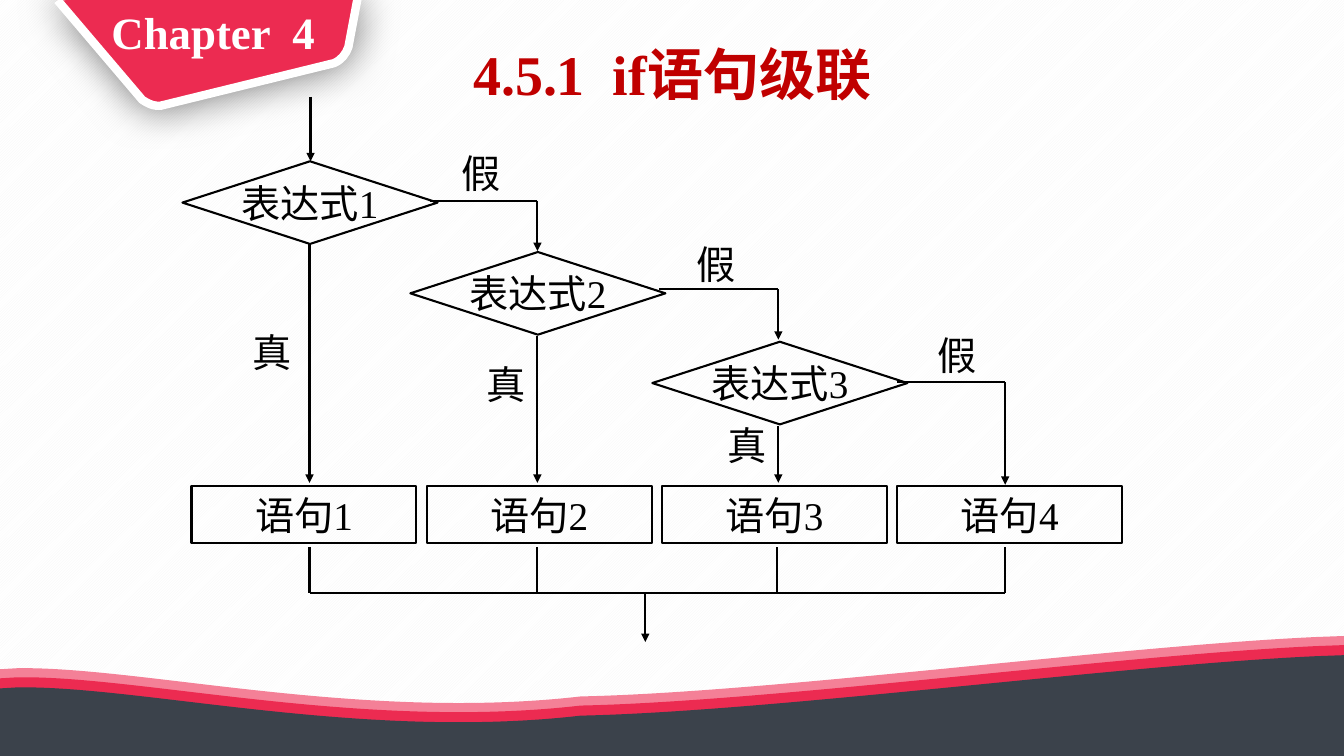
from dataclasses import dataclass

from lxml import etree
from pptx import Presentation
from pptx.dml.color import RGBColor
from pptx.dml.fill import FillFormat
from pptx.enum.dml import MSO_PATTERN
from pptx.enum.shapes import MSO_CONNECTOR, MSO_SHAPE
from pptx.enum.text import MSO_ANCHOR, PP_ALIGN
from pptx.oxml import parse_xml
from pptx.oxml.ns import nsdecls, qn
from pptx.shapes.autoshape import Shape
from pptx.shapes.shapetree import GroupShapes
from pptx.slide import Slide
from pptx.util import Inches, Pt

BLACK = RGBColor(0x00, 0x00, 0x00)
WHITE = RGBColor(0xFF, 0xFF, 0xFF)
STRIPE = RGBColor(0xF5, 0xF5, 0xF5)
PINK = RGBColor(0xF4, 0x80, 0x97)
CRIMSON = RGBColor(0xEC, 0x2B, 0x51)
SLATE = RGBColor(0x3B, 0x42, 0x4B)
DARK_RED = RGBColor(0xC0, 0x00, 0x00)

FONT = "Times New Roman"
LINE_WIDTH = Pt(1.5)

Point = tuple[float, float]
Segment = tuple[Point, ...]  # one point: straight line; three: Bézier curve


@dataclass
class Wave:
    top: float
    color: RGBColor


@dataclass
class Branch:
    """One test: its diamond, its exits and their labels."""
    left: float
    top: float
    true_start: Point
    true_label: Point
    false_label: Point
    false_start: Point
    false_axis: float
    false_end: float


WAVES = [Wave(6.31, PINK), Wave(6.4, CRIMSON), Wave(6.5, SLATE)]
WAVE_START = (13.33, 0)
WAVE_OUTLINE: list[Segment] = [
    ((13.33, 1),), ((0, 1),), ((0, 0.33),), ((0.17, 0.32),),
    ((1.39, 0.3), (3.58, 0.85), (5.76, 0.6)),
    ((7.65, 0.56), (11.08, 0.1), (13.06, 0.01)),
]
BADGE_START = (3.57, 0.34)
BADGE_OUTLINE: list[Segment] = [
    ((3.37, 0.78),), ((3.33, 0.84), (3.27, 0.89), (3.19, 0.9)),
    ((3.14, 0.9),), ((1.47, 0.9),), ((1.42, 0.9),),
    ((1.37, 0.89), (1.33, 0.87), (1.29, 0.83)),
    ((1.26, 0.8),), ((1.23, 0.74),), ((0.68, -0.36),),
]
BRANCHES = [
    Branch(1.81, 1.6, (3.07, 2.42), (2.4, 3.21), (4.48, 1.43), (4.26, 1.99), 5.33, 2.49),
    Branch(4.07, 2.5, (5.33, 3.33), (4.72, 3.52), (6.81, 2.33), (6.54, 2.87), 7.72, 3.37),
    Branch(6.47, 3.39, (7.72, 4.23), (7.11, 4.13), (9.2, 3.24), (8.9, 3.79), 9.97, 4.81),
]
STATEMENT_AXES = [3.07, 5.33, 7.71, 9.97]
STATEMENT_LEFT, STATEMENT_PITCH, STATEMENT_TOP = 1.9, 7 / 3, 4.82
JOIN_TOP, JOIN_BOTTOM = 5.43, 5.88
EXIT_AXIS = 6.4


def set_stripes(fill: FillFormat) -> None:
    fill.patterned()
    fill.pattern = MSO_PATTERN.LIGHT_UPWARD_DIAGONAL
    fill.fore_color.rgb = STRIPE
    fill.back_color.rgb = WHITE


def write(shape: Shape, text: str, size: float = 28, color: RGBColor = BLACK,
          bold: bool = False, wrap: bool = False, spacing: float = 1.0) -> None:
    frame = shape.text_frame
    frame.text = text
    frame.word_wrap = wrap
    frame.vertical_anchor = MSO_ANCHOR.MIDDLE
    paragraph = frame.paragraphs[0]
    paragraph.alignment = PP_ALIGN.CENTER
    paragraph.line_spacing = spacing
    font = paragraph.runs[0].font
    font.name, font.size, font.bold = FONT, Pt(size), bold
    font.color.rgb = color


def add_label(chart: GroupShapes, text: str, corner: Point) -> None:
    left, top = corner
    write(chart.add_textbox(Inches(left), Inches(top), Inches(0.59), Inches(0.57)), text)


def add_line(chart: GroupShapes, start: Point, end: Point, arrow: bool = False) -> None:
    line = chart.add_connector(
        MSO_CONNECTOR.STRAIGHT, *(Inches(value) for value in (*start, *end)))
    line.line.color.rgb = BLACK
    line.line.width = LINE_WIDTH
    if arrow:
        etree.SubElement(line.line._get_or_add_ln(), qn("a:tailEnd"), type="triangle")
    etree.SubElement(line._element.spPr, qn("a:effectLst"))


def add_box(chart: GroupShapes, kind: MSO_SHAPE, left: float, top: float,
            width: float, height: float) -> Shape:
    box = chart.add_shape(kind, Inches(left), Inches(top), Inches(width), Inches(height))
    box.shadow.inherit = False
    box.line.color.rgb = BLACK
    box.line.width = LINE_WIDTH
    return box


def add_outline(slide: Slide, start: Point, outline: list[Segment], top: float,
                color: RGBColor, close: bool) -> Shape:
    """Draw an outline shifted down by top, with its three-point segments as curves."""
    builder = slide.shapes.build_freeform(Inches(start[0]), Inches(start[1] + top))
    builder.add_line_segments(
        [(Inches(x), Inches(y + top)) for segment in outline for x, y in segment], close=close)
    shape = builder.convert_to_shape()
    lines = iter(list(shape._element.iter(qn("a:lnTo"))))
    for segment in outline:
        first, *others = [next(lines) for _ in segment]
        if others:
            first.tag = qn("a:cubicBezTo")
            for other in others:
                first.append(other[0])
                other.getparent().remove(other)
    shape.shadow.inherit = False
    shape.fill.solid()
    shape.fill.fore_color.rgb = color
    return shape


def add_wave(slide: Slide, wave: Wave) -> None:
    shape = add_outline(slide, WAVE_START, WAVE_OUTLINE, wave.top, wave.color, close=True)
    shape.line.fill.background()


def add_badge(slide: Slide) -> None:
    badge = add_outline(slide, BADGE_START, BADGE_OUTLINE, 0, CRIMSON, close=False)
    badge.rotation = 346.2
    badge.line.color.rgb = WHITE
    badge.line.width = Pt(6)
    badge._element.spPr.find(qn("a:effectLst")).append(parse_xml(
        f'<a:outerShdw {nsdecls("a")} blurRad="{Pt(29)}" dist="0" dir="0" rotWithShape="0">'
        '<a:srgbClr val="000000"><a:alpha val="52000"/></a:srgbClr></a:outerShdw>'))


def add_chapter(slide: Slide) -> None:
    chapter = slide.shapes.title
    chapter.left, chapter.top = Inches(0.9), Inches(0.02)
    chapter.width, chapter.height = Inches(2.43), Inches(0.66)
    write(chapter, "Chapter  4", 32, WHITE, bold=True, wrap=True, spacing=0.9)
    slide.shapes._spTree.append(chapter._element)  # in front of the badge


def add_branch(chart: GroupShapes, number: int, branch: Branch) -> None:
    diamond = add_box(chart, MSO_SHAPE.FLOWCHART_DECISION, branch.left, branch.top, 2.53, 0.82)
    set_stripes(diamond.fill)
    write(diamond, f"表达式{number}")
    add_label(chart, "真", branch.true_label)
    add_label(chart, "假", branch.false_label)
    add_line(chart, branch.true_start, (branch.true_start[0], 4.79), arrow=True)
    corner = (branch.false_axis, branch.false_start[1])
    add_line(chart, branch.false_start, corner)
    add_line(chart, corner, (branch.false_axis, branch.false_end), arrow=True)


def add_statement(chart: GroupShapes, index: int, axis: float) -> None:
    statement = add_box(chart, MSO_SHAPE.RECTANGLE, STATEMENT_LEFT + index * STATEMENT_PITCH,
                        STATEMENT_TOP, 2.23, 0.57)
    statement.fill.background()
    write(statement, f"语句{index + 1}", wrap=True)
    add_line(chart, (axis, JOIN_TOP), (axis, JOIN_BOTTOM))


def main() -> None:
    deck = Presentation()
    deck.slide_width, deck.slide_height = Inches(13.33), Inches(7.5)
    slide = deck.slides.add_slide(deck.slide_layouts[5])
    set_stripes(slide.background.fill)
    add_wave(slide, WAVES[0])
    add_badge(slide)
    for wave in WAVES[1:]:
        add_wave(slide, wave)
    add_chapter(slide)
    chart = slide.shapes.add_group_shape().shapes
    add_line(chart, (3.08, 0.96), (3.08, 1.6), arrow=True)
    for number, branch in enumerate(BRANCHES, start=1):
        add_branch(chart, number, branch)
    for index, axis in enumerate(STATEMENT_AXES):
        add_statement(chart, index, axis)
    add_line(chart, (STATEMENT_AXES[0], JOIN_BOTTOM), (STATEMENT_AXES[-1], JOIN_BOTTOM))
    add_line(chart, (EXIT_AXIS, JOIN_BOTTOM), (EXIT_AXIS, 6.37), arrow=True)
    heading = slide.shapes.add_textbox(Inches(1.82), Inches(0.35), Inches(9.69), Inches(0.83))
    write(heading, "4.5.1  if语句级联", 40, DARK_RED, bold=True, wrap=True, spacing=0.9)
    deck.save("out.pptx")


if __name__ == "__main__":
    main()
